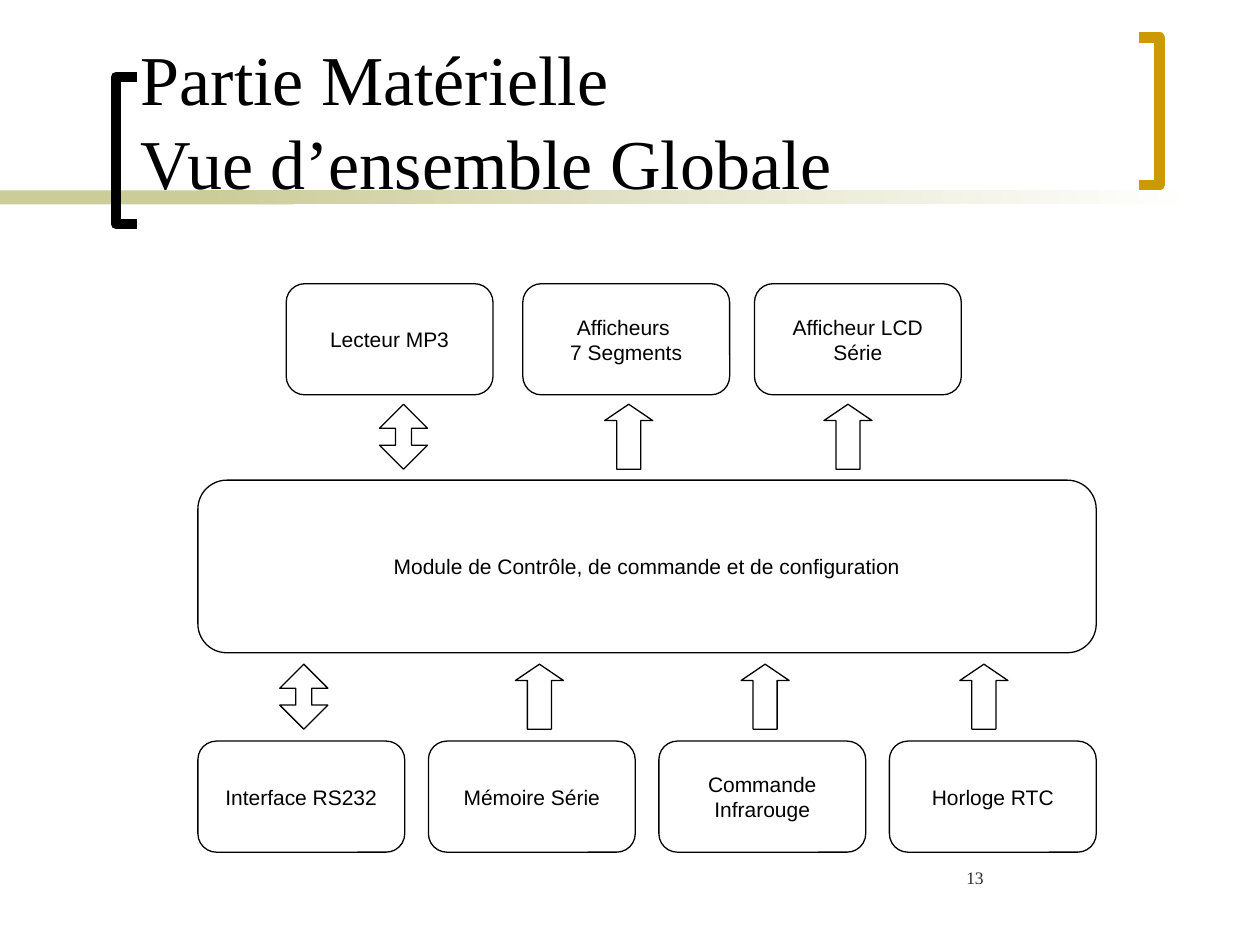
import pptx
import pptx.dml.color
import pptx.enum.shapes
import pptx.enum.text
import pptx.util
from pptx.util import Cm, Pt

SHAPES = pptx.enum.shapes.MSO_SHAPE
ANCHOR = pptx.enum.text.MSO_ANCHOR
ALIGN = pptx.enum.text.PP_ALIGN
BOX_WIDTH, BOX_HEIGHT = 4.17, 2.24
ARROW_WIDTH, ARROW_HEIGHT = 0.97, 1.31


def color(value):
    return pptx.dml.color.RGBColor.from_string(value)


def write_lines(paragraph, lines, font_name, size, text_color):
    for index, line in enumerate(lines):
        if index:
            paragraph.add_line_break()
        run = paragraph.add_run()
        run.text = line
        run.font.name = font_name
        run.font.size = Pt(size)
        run.font.color.rgb = color(text_color)


def add_text(slide, left, top, width, height, lines, size, text_color, anchor):
    box = slide.shapes.add_textbox(Cm(left), Cm(top), Cm(width), Cm(height))
    box.text_frame.word_wrap = True
    box.text_frame.vertical_anchor = anchor
    paragraph = box.text_frame.paragraphs[0]
    write_lines(paragraph, lines, "Times New Roman", size, text_color)
    return paragraph


def add_outlined(slide, kind, left, top, width, height, adjustments):
    shape = slide.shapes.add_shape(kind, Cm(left), Cm(top), Cm(width), Cm(height))
    shape.shadow.inherit = False
    shape.fill.solid()
    shape.fill.fore_color.rgb = color("FFFFFF")
    shape.line.color.rgb = color("000000")
    shape.line.width = Pt(0.75)
    for index, value in enumerate(adjustments):
        shape.adjustments[index] = value
    return shape


def add_block(slide, left, top, width, height, lines):
    shape = add_outlined(slide, SHAPES.ROUNDED_RECTANGLE, left, top, width, height, [0.167])
    shape.text_frame.word_wrap = True
    shape.text_frame.vertical_anchor = ANCHOR.MIDDLE
    paragraph = shape.text_frame.paragraphs[0]
    paragraph.alignment = ALIGN.CENTER
    write_lines(paragraph, lines, "Arial", 12, "000000")


def add_arrow(slide, left, top, two_way):
    kind = SHAPES.UP_DOWN_ARROW if two_way else SHAPES.UP_ARROW
    head = 0.33 if two_way else 0.34
    add_outlined(slide, kind, left, top, ARROW_WIDTH, ARROW_HEIGHT, [0.5, head])


def add_bracket(slide, left, top, width, height, line_color, opens_right):
    tip, spine = (left + width, left) if opens_right else (left, left + width)
    bottom = top + height
    builder = slide.shapes.build_freeform(Cm(tip), Cm(top))
    corners = [(spine, top), (spine, bottom), (tip, bottom)]
    builder.add_line_segments([(Cm(x), Cm(y)) for x, y in corners], close=False)
    bracket = builder.convert_to_shape()
    bracket.shadow.inherit = False
    bracket.fill.background()
    bracket.line.color.rgb = color(line_color)
    bracket.line.width = Pt(6)


def add_band(slide, left, top, width, height):
    solid_width, fade_start = 5.92, 4.01
    for start, length in [(0, solid_width), (fade_start, width - fade_start)]:
        band = slide.shapes.add_shape(
            SHAPES.RECTANGLE, Cm(left + start), Cm(top), Cm(length), Cm(height))
        band.shadow.inherit = False
        band.line.fill.background()
        if start:
            band.fill.gradient()
            band.fill.gradient_angle = 0
            for stop, value in zip(band.fill.gradient_stops, ["CCCC99", "FFFFFF"]):
                stop.color.rgb = color(value)
        else:
            band.fill.solid()
            band.fill.fore_color.rgb = color("CCCC99")


def add_header(slide, left, top, width, height):
    add_band(slide, left, top + 3.56, 24.13, 0.28)
    add_bracket(slide, left + 2.34, top + 1.27, 0.42, 2.97, "000000", True)
    add_bracket(slide, left + 22.96, top + 0.48, 0.42, 2.97, "CC9900", False)
    add_text(slide, left + 2.59, top, width - 5.51, height,
             ["Partie Matérielle", "Vue d’ensemble Globale"], 40, "000000", ANCHOR.BOTTOM)


def add_diagram(slide, left, top, width, height):
    outputs = [(1.78, 3.66, ["Lecteur MP3"]),
               (6.55, 8.2, ["Afficheurs ", "7 Segments"]),
               (11.22, 12.62, ["Afficheur LCD Série"])]
    inputs = [(1.65, ["Interface RS232"]), (6.4, ["Mémoire Série"]),
              (10.95, ["Commande Infrarouge"]), (15.36, ["Horloge RTC"])]
    add_block(slide, left, top + 3.96, width, 3.48,
              ["Module de Contrôle, de commande et de configuration"])
    for index, (block_left, arrow_left, lines) in enumerate(outputs):
        add_block(slide, left + block_left, top, BOX_WIDTH, BOX_HEIGHT, lines)
        add_arrow(slide, left + arrow_left, top + 2.43, index == 0)
    pitch = (width - BOX_WIDTH) / (len(inputs) - 1)
    for index, (arrow_left, lines) in enumerate(inputs):
        add_block(slide, left + index * pitch, top + height - BOX_HEIGHT,
                  BOX_WIDTH, BOX_HEIGHT, lines)
        add_arrow(slide, left + arrow_left, top + 7.67, index == 0)


def add_page_number(slide, left, top, width, height):
    paragraph = add_text(slide, left, top, width, height, ["13"], 10, "292929", ANCHOR.TOP)
    properties = paragraph._p.get_or_add_pPr()
    properties.set("marL", str(Cm(0.61)))
    properties.set("indent", "0")


def main():
    presentation = pptx.Presentation()
    presentation.slide_width = Cm(25.4)
    presentation.slide_height = Cm(19.05)
    slide = presentation.slides.add_slide(presentation.slide_layouts[6])
    add_header(slide, 0, 0.28, 25.4, 3.94)
    add_diagram(slide, 3.99, 5.72, 18.11, 11.46)
    add_page_number(slide, 18.62, 17.35, 5.28, 1.27)
    presentation.save("out.pptx")


if __name__ == "__main__":
    main()
